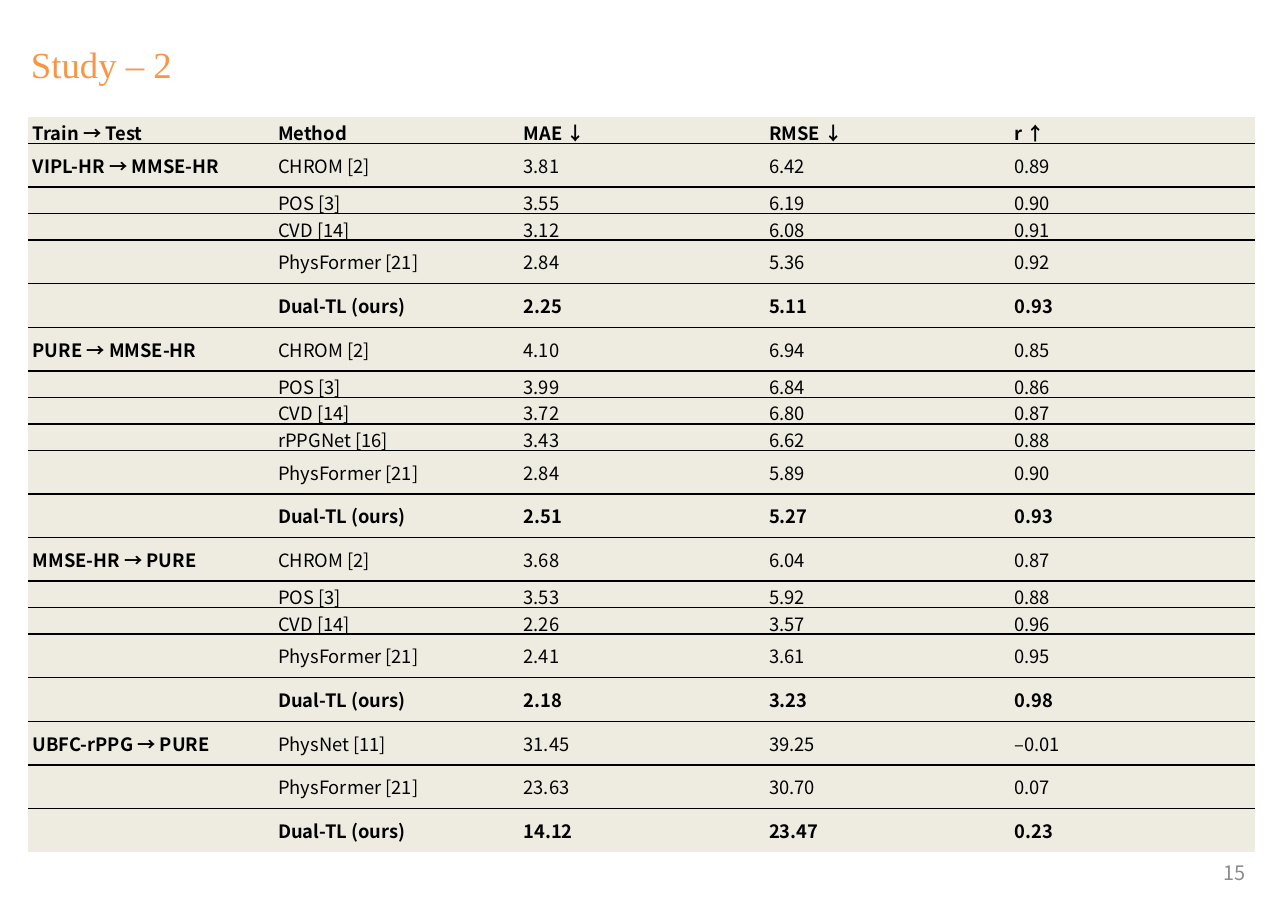
"""Build the Study – 2 slide with its cross-dataset results table."""
from lxml.etree import SubElement
from pptx import Presentation
from pptx.dml.color import RGBColor
from pptx.enum.text import MSO_ANCHOR, MSO_AUTO_SIZE, PP_ALIGN
from pptx.oxml.ns import qn
from pptx.util import Pt

TITLE = "Study – 2"
PAGE_NUMBER = "15"
HEADINGS = ("Train → Test", "Method", "MAE ↓", "RMSE ↓", "r ↑")
RESULTS = {
    "VIPL-HR → MMSE-HR": [
        ("CHROM [2]", "3.81", "6.42", "0.89"),
        ("POS [3]", "3.55", "6.19", "0.90"),
        ("CVD [14]", "3.12", "6.08", "0.91"),
        ("PhysFormer [21]", "2.84", "5.36", "0.92"),
        ("Dual-TL (ours)", "2.25", "5.11", "0.93"),
    ],
    "PURE → MMSE-HR": [
        ("CHROM [2]", "4.10", "6.94", "0.85"),
        ("POS [3]", "3.99", "6.84", "0.86"),
        ("CVD [14]", "3.72", "6.80", "0.87"),
        ("rPPGNet [16]", "3.43", "6.62", "0.88"),
        ("PhysFormer [21]", "2.84", "5.89", "0.90"),
        ("Dual-TL (ours)", "2.51", "5.27", "0.93"),
    ],
    "MMSE-HR → PURE": [
        ("CHROM [2]", "3.68", "6.04", "0.87"),
        ("POS [3]", "3.53", "5.92", "0.88"),
        ("CVD [14]", "2.26", "3.57", "0.96"),
        ("PhysFormer [21]", "2.41", "3.61", "0.95"),
        ("Dual-TL (ours)", "2.18", "3.23", "0.98"),
    ],
    "UBFC-rPPG → PURE": [
        ("PhysNet [11]", "31.45", "39.25", "–0.01"),
        ("PhysFormer [21]", "23.63", "30.70", "0.07"),
        ("Dual-TL (ours)", "14.12", "23.47", "0.23"),
    ],
}
COMPACT_METHODS = ("Method", "POS [3]", "CVD [14]", "rPPGNet [16]")

BLACK = RGBColor(0x00, 0x00, 0x00)
ORANGE = RGBColor(0xF7, 0x96, 0x46)
GRAY = RGBColor(0x8C, 0x8C, 0x8C)
CREAM = RGBColor(0xEE, 0xEC, 0xE1)
SANS = "Noto Sans CJK KR"
SERIF = "Times New Roman"

TABLE_LEFT, TABLE_TOP, COLUMN_WIDTH = 18.5, 76.5, 160.4
COMPACT_HEIGHT, ROOMY_HEIGHT = 17.3, 28.5
BODY_SIZE = 12

CELL_FORMAT = {
    "vertical_anchor": MSO_ANCHOR.MIDDLE,
    "margin_left": Pt(2.9), "margin_right": Pt(2.9),
    "margin_top": Pt(1.45), "margin_bottom": Pt(1.45),
}
TITLE_FORMAT = {
    "left": Pt(13), "top": Pt(9.4), "width": Pt(656), "height": Pt(46),
}
TITLE_FRAME_FORMAT = {
    "word_wrap": True, "vertical_anchor": MSO_ANCHOR.TOP,
    "auto_size": MSO_AUTO_SIZE.SHAPE_TO_FIT_TEXT,
}
NUMBER_FRAME_FORMAT = {"word_wrap": True, "vertical_anchor": MSO_ANCHOR.MIDDLE}


def apply_format(target, values):
    for name, value in values.items():
        setattr(target, name, value)


def write(paragraph, words, size, color, typeface, bold=False):
    run = paragraph.add_run()
    run.text = words
    apply_format(run.font, {"size": Pt(size), "name": typeface, "bold": bold})
    run.font.color.rgb = color
    SubElement(run.font._element, qn("a:ea"), typeface=typeface)


def rule_cell(cell, above, below):
    properties = cell._tc.get_or_add_tcPr()
    for side, ruled in (("L", False), ("R", False), ("T", above), ("B", below)):
        if ruled:
            border = SubElement(properties, qn(f"a:ln{side}"), w=str(Pt(1)))
            ink = SubElement(border, qn("a:solidFill"))
            SubElement(ink, qn("a:srgbClr"), val=str(BLACK))
        else:
            border = SubElement(properties, qn(f"a:ln{side}"), w="0")
            SubElement(border, qn("a:noFill"))


def add_title(slide):
    title = slide.shapes.title
    apply_format(title, TITLE_FORMAT)
    apply_format(title.text_frame, TITLE_FRAME_FORMAT)
    heading = title.text_frame.paragraphs[0]
    apply_format(heading, {"alignment": PP_ALIGN.LEFT, "line_spacing": 1.5})
    write(heading, TITLE, 24, ORANGE, SERIF)


def add_results(slide):
    rows = [HEADINGS]
    for protocol, scores in RESULTS.items():
        rows += [("" if i else protocol, *score) for i, score in enumerate(scores)]
    heights = [COMPACT_HEIGHT if row[1] in COMPACT_METHODS else ROOMY_HEIGHT
               for row in rows]
    results = slide.shapes.add_table(
        len(rows), len(HEADINGS), Pt(TABLE_LEFT), Pt(TABLE_TOP),
        Pt(COLUMN_WIDTH * len(HEADINGS)), Pt(sum(heights))).table
    apply_format(results, {"first_row": False, "horz_banding": False})
    for column in results.columns:
        column.width = Pt(COLUMN_WIDTH)
    for r, (row, height) in enumerate(zip(rows, heights)):
        results.rows[r].height = Pt(height)
        for c, words in enumerate(row):
            cell = results.cell(r, c)
            apply_format(cell, CELL_FORMAT)
            rule_cell(cell, above=r > 0, below=r < len(rows) - 1)
            cell.fill.solid()
            cell.fill.fore_color.rgb = CREAM
            entry = cell.text_frame.paragraphs[0]
            if words:
                bold = r == 0 or c == 0 or "ours" in row[1]
                write(entry, words, BODY_SIZE, BLACK, SANS, bold)
            else:
                SubElement(entry._p, qn("a:endParaRPr"), sz=str(BODY_SIZE * 100))


def add_page_number(slide):
    page_number = slide.shapes.add_textbox(Pt(624), Pt(554.4), Pt(197), Pt(31.7))
    apply_format(page_number.text_frame, NUMBER_FRAME_FORMAT)
    number = page_number.text_frame.paragraphs[0]
    number.alignment = PP_ALIGN.RIGHT
    write(number, PAGE_NUMBER, 13, GRAY, SANS)


def main():
    presentation = Presentation()
    apply_format(presentation, {"slide_width": Pt(841.68), "slide_height": Pt(595.44)})
    slide = presentation.slides.add_slide(presentation.slide_layouts[5])
    add_page_number(slide)
    add_title(slide)
    add_results(slide)
    presentation.save("out.pptx")


if __name__ == "__main__":
    main()
